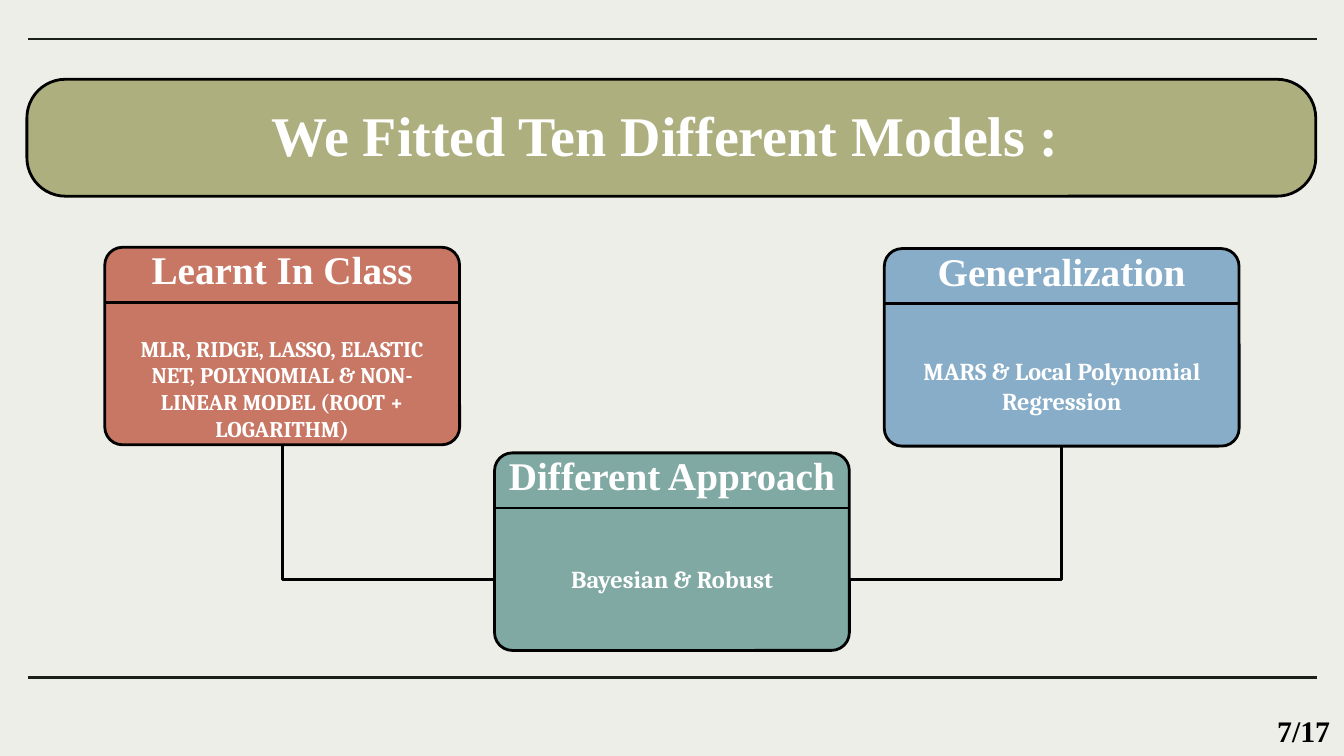
from lxml import etree
from pptx import Presentation
from pptx.dml.color import RGBColor
from pptx.enum.shapes import MSO_CONNECTOR, MSO_SHAPE
from pptx.enum.text import MSO_ANCHOR, MSO_AUTO_SIZE, PP_ALIGN
from pptx.oxml.ns import qn
from pptx.util import Inches, Pt

LINE, ELBOW = MSO_CONNECTOR.STRAIGHT, MSO_CONNECTOR.ELBOW
ROUND = MSO_SHAPE.ROUNDED_RECTANGLE
MIDDLE, CENTER = MSO_ANCHOR.MIDDLE, PP_ALIGN.CENTER
NO_FIT = MSO_AUTO_SIZE.NONE

PAPER = RGBColor(0xEE, 0xEE, 0xE9)
OLIVE = RGBColor(0xAD, 0xAF, 0x7E)
RED = RGBColor(0xC7, 0x77, 0x63)
TEAL = RGBColor(0x80, 0xA9, 0xA4)
BLUE = RGBColor(0x88, 0xAD, 0xC8)
INK = RGBColor(0x1B, 0x21, 0x19)
BLACK = RGBColor(0, 0, 0)
WHITE = RGBColor(0xFF, 0xFF, 0xFF)

SERIF, BODY = "Times New Roman", "Cambria"

# Grid in inches: a 16:9 slide with three columns of cards
WIDE = 10
HIGH = WIDE * 9 / 16
LEFT, STEP = 0.78, 2.9
CARD_W, CARD_H, HEAD_H = 2.64, 1.47, 0.41
JOIN_Y = 4.31

# Column, top, fill, heading, text, text size, centre of text below card top
CARDS = [
    (0, 1.84, RED, "Learnt In Class",
     "MLR, RIDGE, LASSO, ELASTIC NET, POLYNOMIAL & NON-LINEAR MODEL "
     "(ROOT + LOGARITHM)", 12, 1.05),
    (1, 3.37, TEAL, "Different Approach", "Bayesian & Robust", 13, 0.94),
    (2, 1.85, BLUE, "Generalization",
     "MARS & Local Polynomial Regression", 13, 1.02),
]


def place(shape, x, y, w, h):
    shape.left, shape.top = Inches(x), Inches(y)
    shape.width, shape.height = Inches(w), Inches(h)


def add_panel(slide, x, y, w, h, fill, curve):
    panel = slide.shapes.add_shape(
        ROUND, Inches(x), Inches(y), Inches(w), Inches(h))
    panel.adjustments[0] = curve
    panel.shadow.inherit = False
    panel.fill.solid()
    panel.fill.fore_color.rgb = fill
    panel.line.color.rgb = BLACK
    panel.line.width = Pt(1.5)


def add_line(slide, x1, y1, x2, y2, color=BLACK, kind=LINE):
    line = slide.shapes.add_connector(
        kind, Inches(x1), Inches(y1), Inches(x2), Inches(y2))
    line.line.color.rgb = color
    line.line.width = Pt(1.5)
    props = line._element.spPr
    if kind == ELBOW:  # a single bend
        props.find(qn("a:prstGeom")).set("prst", "bentConnector2")
    etree.SubElement(props, qn("a:effectLst"))


def write(shape, text, size, font, color=WHITE, space=1.0):
    frame = shape.text_frame
    frame.word_wrap = True
    frame.auto_size = NO_FIT
    frame.vertical_anchor = MIDDLE
    frame.margin_top = frame.margin_bottom = 0
    para = frame.paragraphs[0]
    para.alignment = CENTER
    para.line_spacing = space
    para.space_before = Pt(0)
    run = para.add_run()
    run.text = text
    run.font.size, run.font.name = Pt(size), font
    run.font.bold = True
    run.font.color.rgb = color
    return para


def add_label(slide, x, y, w, h, *style):
    box = slide.shapes.add_textbox(
        Inches(x), Inches(y), Inches(w), Inches(h))
    write(box, *style)


def add_card(slide, col, top, fill, head, text, size, mid):
    x = LEFT + col * STEP
    add_panel(slide, x, top, CARD_W, CARD_H, fill, 0.09)
    add_line(slide, x, top + HEAD_H, x + CARD_W, top + HEAD_H)
    add_label(slide, x, top, CARD_W, HEAD_H, head, 21, SERIF, WHITE, 0.7)

    # Body text, without bullet, in front of the card
    body = slide.placeholders[col + 1]
    place(body, x, top + mid - 0.45, CARD_W, 0.9)
    props = write(body, text, size, BODY)._p.get_or_add_pPr()
    props.set("marL", "0")
    props.set("indent", "0")
    etree.SubElement(props, qn("a:buNone"))
    slide.shapes._spTree.append(body._element)


def main():
    deck = Presentation()
    deck.slide_width, deck.slide_height = Inches(WIDE), Inches(HIGH)
    slide = deck.slides.add_slide(deck.slide_layouts[4])
    slide.background.fill.solid()
    slide.background.fill.fore_color.rgb = PAPER
    spare = slide.placeholders[4]._element
    spare.getparent().remove(spare)

    # Frame lines and title banner
    for y in (0.29, 5.04):
        add_line(slide, 0.21, y, 9.8, y, INK)
    add_panel(slide, 0.2, 0.59, 9.59, 0.87, OLIVE, 0.33)
    title = slide.shapes.title
    place(title, LEFT, 0.75, WIDE - 2 * LEFT, 0.62)
    write(title, "We Fitted Ten Different Models : ", 30, SERIF, WHITE, 0.7)
    slide.shapes._spTree.append(title._element)

    # Elbows from the middle card up to the outer cards
    inner = LEFT + STEP
    for side, col in ((inner, 0), (inner + CARD_W, 2)):
        add_line(slide, side, JOIN_Y, LEFT + col * STEP + CARD_W / 2,
                 CARDS[col][1] + CARD_H, kind=ELBOW)

    for card in CARDS:
        add_card(slide, *card)

    # Page number
    add_label(slide, 9.35, 5.25, 0.7, 0.37, "7/17", 16, SERIF, BLACK)

    deck.save("out.pptx")


if __name__ == "__main__":
    main()
